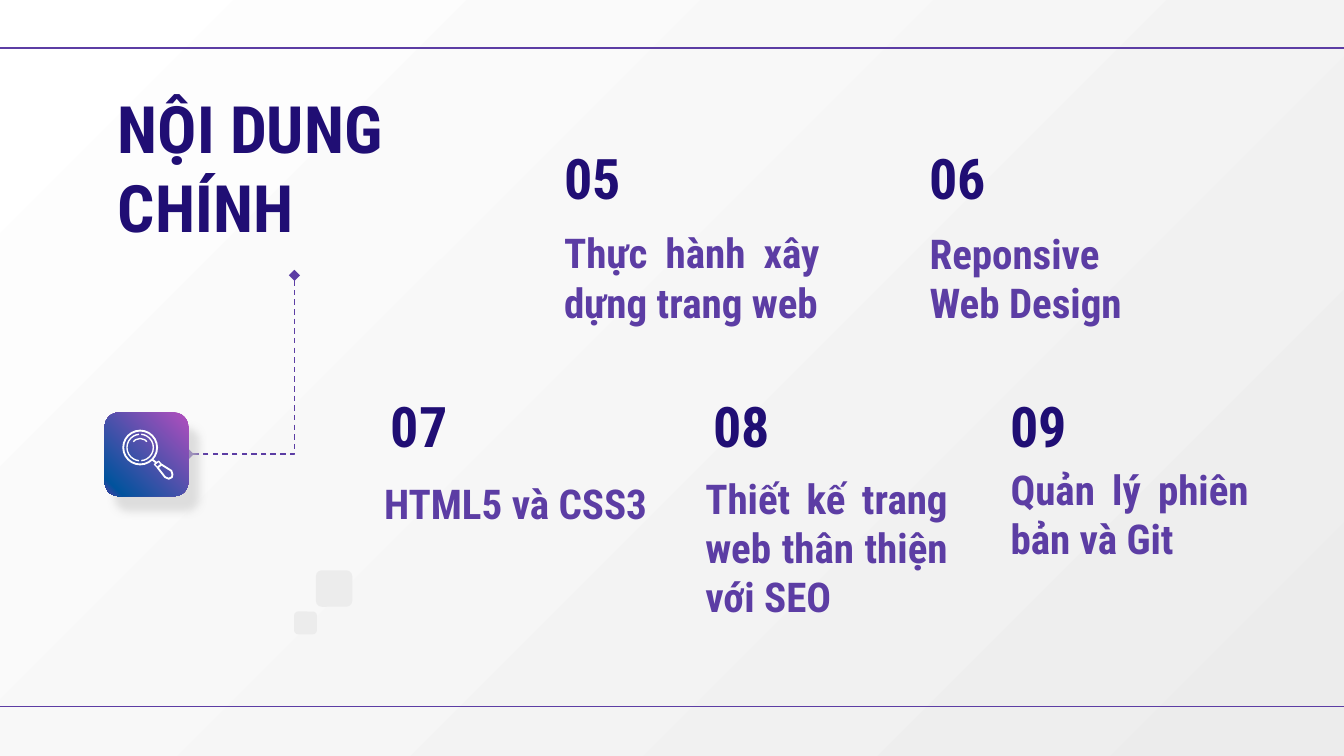
from lxml import etree
from pptx import Presentation
from pptx.dml.color import RGBColor
from pptx.enum import dml, shapes, text
from pptx.oxml.ns import qn
from pptx.util import Cm, Pt

FORM = shapes.MSO_SHAPE
LINK = shapes.MSO_CONNECTOR


def rgb(code):
    return RGBColor.from_string(code)


def node(top, tag, **attrs):
    return etree.SubElement(top, qn(tag), {k: str(v) for k, v in attrs.items()})


class Deck:
    font = "Roboto Condensed"
    navy, violet, pale, white = "200E74", "5C3DA4", "ECECEC", "FFFFFF"

    def __init__(self, wide, high):
        self.show = Presentation()
        self.show.slide_width, self.show.slide_height = Cm(wide), Cm(high)
        self.slide = self.show.slides.add_slide(self.show.slide_layouts[5])
        self.items = self.slide.shapes

    def blend(self, fill, home, stops, angle):
        """Gradient with any number of stops; the angle runs clockwise."""
        fill.gradient()
        fill.gradient_angle = 360 - angle
        track = home.find(".//" + qn("a:gsLst"))
        for old in list(track):
            track.remove(old)
        for place, code in stops:
            stop = node(track, "a:gs", pos=place * 1000)
            node(stop, "a:srgbClr", val=code)

    def letter(self, shape, words, size, code, align, anchor):
        frame = shape.text_frame
        frame.text = words
        frame.word_wrap = True
        frame.auto_size = text.MSO_AUTO_SIZE.NONE
        frame.vertical_anchor = anchor
        frame.margin_left = frame.margin_right = Cm(0.25)
        frame.margin_top = frame.margin_bottom = Cm(0.25)
        para = frame.paragraphs[0]
        para.alignment = align
        para.font.name, para.font.size = self.font, Pt(size)
        para.font.bold, para.font.color.rgb = True, rgb(code)

    def title(self, words, x, y, w, h):
        head = self.items.title
        head.left, head.top, head.width, head.height = map(Cm, (x, y, w, h))
        self.letter(head, words, 35, self.navy,
                    text.PP_ALIGN.LEFT, text.MSO_ANCHOR.TOP)

    def label(self, words, box, size, code, align):
        shape = self.items.add_textbox(*map(Cm, box))
        self.letter(shape, words, size, code, align, text.MSO_ANCHOR.BOTTOM)

    def line(self, x1, y1, x2, y2, code=violet, width=0.75, kind=LINK.STRAIGHT):
        link = self.items.add_connector(kind, *map(Cm, (x1, y1, x2, y2)))
        link.line.color.rgb, link.line.width = rgb(code), Pt(width)
        node(link.element.spPr, "a:effectLst")
        return link

    def elbow(self, x1, y1, x2, y2):
        """Dashed one-bend link, turned a quarter, with diamond ends."""
        link = self.line(x1, y1, x2, y2, kind=LINK.ELBOW)
        link.line.dash_style = dml.MSO_LINE.DASH
        props = link.element.spPr
        props.find(qn("a:xfrm")).set("rot", str(90 * 60000))
        props.find(qn("a:prstGeom")).set("prst", "bentConnector2")
        for tag in ("a:headEnd", "a:tailEnd"):
            node(props.find(qn("a:ln")), tag, type="diamond")

    def tile(self, x, y, side):
        shape = self.items.add_shape(FORM.ROUNDED_RECTANGLE,
                                     *map(Cm, (x, y, side, side)))
        shape.shadow.inherit = False
        shape.fill.solid()
        shape.fill.fore_color.rgb = rgb(self.pale)
        shape.line.fill.background()
        return shape

    def shade(self, shape, code, alpha, blur, gap, angle):
        effects = shape.element.spPr.find(qn("a:effectLst"))
        cast = node(effects, "a:outerShdw", blurRad=Pt(blur), dist=Pt(gap),
                    dir=angle * 60000, algn="bl", rotWithShape=0)
        node(node(cast, "a:srgbClr", val=code), "a:alpha", val=alpha * 1000)

    def trace(self, shape, width):
        shape.shadow.inherit = False
        shape.fill.background()
        shape.line.color.rgb, shape.line.width = rgb(self.white), Pt(width)

    def ring(self, x, y, radius, width, arc=None):
        """Circle about a centre, or the arc between two angles."""
        shape = self.items.add_shape(
            FORM.ARC if arc else FORM.OVAL,
            *map(Cm, (x - radius, y - radius, 2 * radius, 2 * radius)))
        for i, angle in enumerate(arc or ()):
            shape.adjustments[i] = angle * 0.6
        self.trace(shape, width)

    def outline(self, points, width):
        first, *rest = [(Cm(x), Cm(y)) for x, y in points]
        pen = self.items.build_freeform(*first)
        pen.add_line_segments(rest, close=True)
        self.trace(pen.convert_to_shape(), width)


def main():
    deck = Deck(25.4, 14.29)

    # Background and rules
    deck.blend(deck.slide.background.fill, deck.slide.element,
               [(0, deck.white), (100, deck.pale)], 45)
    for y in (0.91, 13.36):
        deck.line(0, y, 25.4, y)

    # Title
    deck.title("NỘI DUNG CHÍNH", 1.98, 1.42, 7.16, 3.78)

    # Topics: number, its left and top, caption, caption box
    topics = [
        ("05", 10.41, 2.51, "Thực hành xây dựng trang web", (10.41, 4.24, 5.33, 2.18)),
        ("06", 17.32, 2.51, "Reponsive Web Design", (17.32, 4.37, 5.11, 2.06)),
        ("07", 7.14, 7.19, "HTML5 và CSS3", (7.01, 8.92, 5.54, 1.3)),
        ("08", 13.23, 7.19, "Thiết kế trang web thân thiện với SEO",
         (13.08, 10.9, 5.08, 1.09)),
        ("09", 18.85, 7.19, "Quản lý phiên bản và Git", (18.85, 9.8, 5, 1.09)),
    ]
    for number, x, y, words, box in topics:
        deck.label(number, (x, y, 6.1, 1.73), 30, deck.navy, text.PP_ALIGN.LEFT)
        deck.label(words, box, 22, deck.violet, text.PP_ALIGN.JUSTIFY)

    # Pale squares
    deck.tile(5.97, 10.78, 0.69)
    deck.tile(5.56, 11.56, 0.43)

    # Link and icon tile
    deck.elbow(2.87, 5.89, 6.25, 7.9)
    badge = deck.tile(1.98, 7.8, 1.58)
    deck.blend(badge.fill, badge.element.spPr,
               [(0, "B24EBE"), (89, "01539D"), (100, deck.violet)], 135)
    deck.shade(badge, "CCCCCC", 60, 4.5, 9.8, 55)

    # Magnifier: rim, inner arcs, glint, then handle
    lens = (2.65, 8.46)
    deck.ring(*lens, 0.32, 1)
    for radius, arc in ((0.25, (275, 85)), (0.25, (95, 265)), (0.17, (220, 320))):
        deck.ring(*lens, radius, 0.75, arc)
    deck.line(2.88, 8.69, 2.96, 8.75, deck.white, 1)
    deck.outline([(2.92, 8.78), (3, 8.72), (3.05, 8.78), (2.98, 8.84)], 0.75)
    deck.outline([(2.98, 8.84), (3.05, 8.78), (3.24, 8.9), (3.26, 8.97),
                  (3.25, 9.02), (3.19, 9.05), (3.12, 9.02)], 1)

    deck.show.save("out.pptx")


if __name__ == "__main__":
    main()
